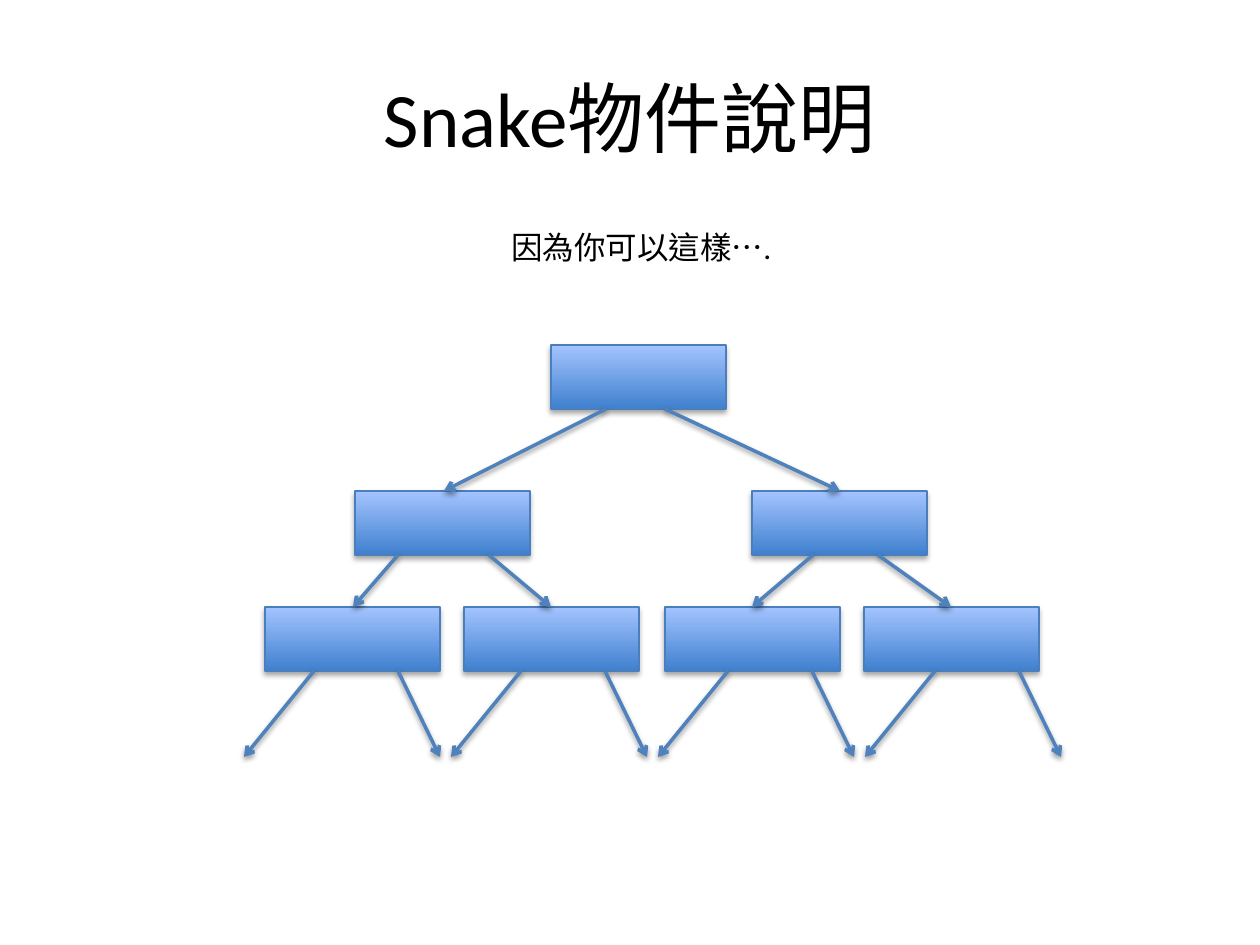
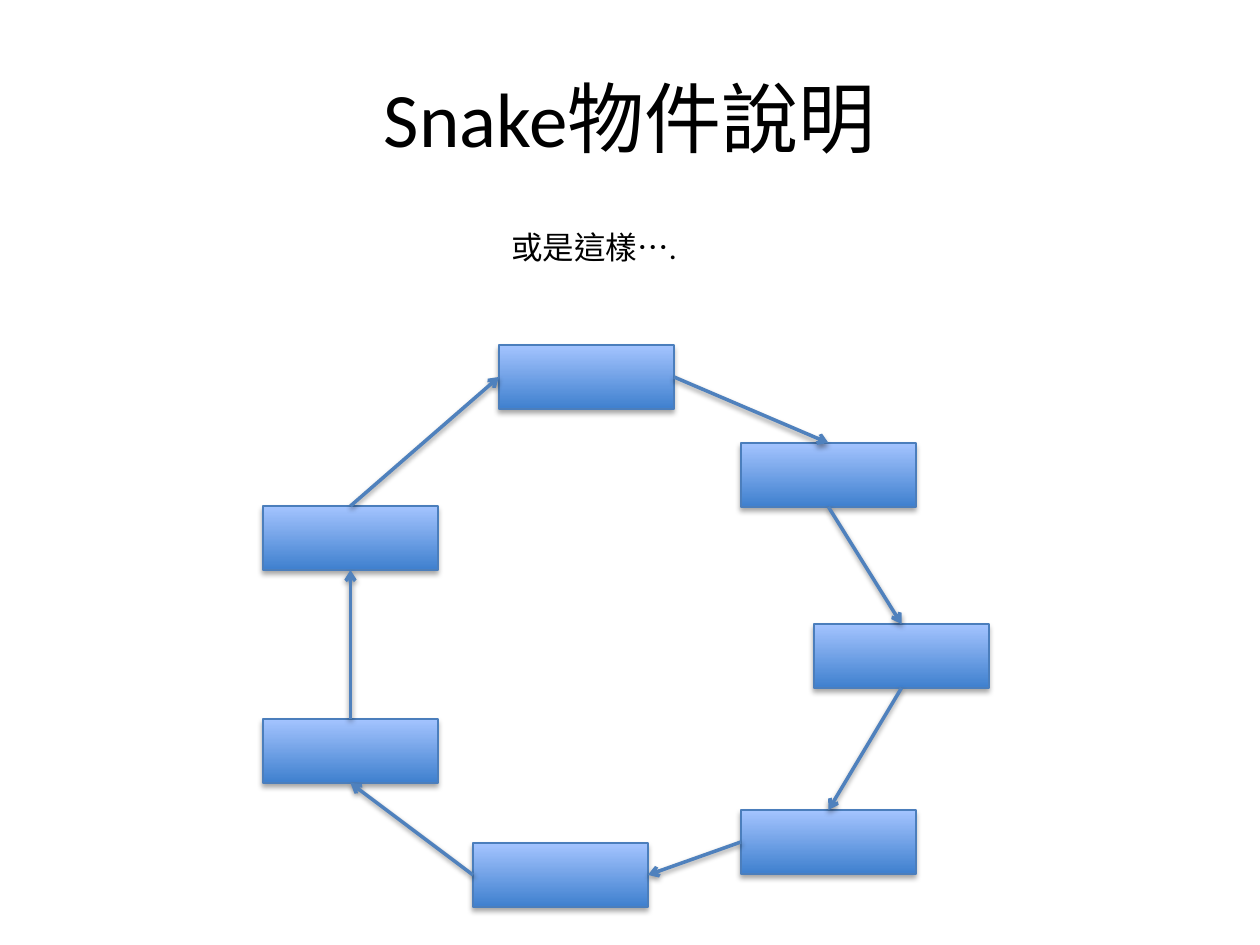
from lxml.etree import SubElement
from pptx import Presentation
from pptx.dml.color import RGBColor
from pptx.enum.lang import MSO_LANGUAGE_ID
from pptx.enum.shapes import MSO_CONNECTOR, MSO_SHAPE
from pptx.enum.text import MSO_ANCHOR, PP_ALIGN
from pptx.oxml.ns import qn
from pptx.util import Emu, Pt

# Shared look
FONT = "Calibri"
BLACK = RGBColor(0x00, 0x00, 0x00)
NODE_DARK = RGBColor(0x3F, 0x80, 0xCE)
NODE_LIGHT = RGBColor(0xA4, 0xC4, 0xFF)
NODE_EDGE = RGBColor(0x4B, 0x7E, 0xBC)
ARROW = RGBColor(0x4F, 0x81, 0xBD)

# Lengths in pixels, 126 to the inch
EMU_PER_PX = 914400 / 126
SLIDE_W, SLIDE_H = 1260, 945
TITLE_BOX = (63, 38, 1134, 157)
CAPTION_BOX = (499, 222, 278, 50)
TREE_BOX = (244, 345, 816, 412)
RING_BOX = (263, 345, 726, 562)
NODE_W, NODE_H = 175, 64

# Connection sites of a rectangle
TOP, LEFT, BOTTOM, RIGHT = range(4)


def px(*values):
    return [Emu(round(v * EMU_PER_PX)) for v in values]


def add_shadow(sp, distance, opacity):
    """Soft black shadow straight below the object."""
    effects = SubElement(sp._element.spPr, qn("a:effectLst"))
    shadow = SubElement(effects, qn("a:outerShdw"), blurRad=str(Pt(3.1)),
                        dist=str(Pt(distance)), dir="5400000", rotWithShape="0")
    color = SubElement(shadow, qn("a:srgbClr"), val=str(BLACK))
    SubElement(color, qn("a:alpha"), val=str(opacity * 1000))


def write(tf, text, size, align):
    tf.text = text
    tf.word_wrap = True
    p = tf.paragraphs[0]
    p.alignment = align
    font = p.runs[0].font
    font.name, font.size = FONT, Pt(size)
    font.color.rgb = BLACK
    font.language_id = MSO_LANGUAGE_ID.TRADITIONAL_CHINESE


def add_node(s, x, y):
    sp = s.shapes.add_shape(MSO_SHAPE.RECTANGLE, *px(x, y, NODE_W, NODE_H))
    sp.fill.gradient()
    sp.fill.gradient_angle = 90
    for stop, position, color in zip(sp.fill.gradient_stops, (0, 1),
                                     (NODE_DARK, NODE_LIGHT)):
        stop.position = position
        stop.color.rgb = color
    sp.line.color.rgb = NODE_EDGE
    sp.line.width = Pt(0.75)
    add_shadow(sp, 1.8, 35)
    return sp


def add_arrow(s, x1=0, y1=0, x2=0, y2=0):
    line = s.shapes.add_connector(MSO_CONNECTOR.STRAIGHT, *px(x1, y1, x2, y2))
    line.line.color.rgb = ARROW
    line.line.width = Pt(2)
    SubElement(line.line._get_or_add_ln(), qn("a:tailEnd"), type="arrow")
    add_shadow(line, 1.6, 38)
    return line


def add_slide(prs, caption):
    """Slide with the shared title and a caption below it."""
    s = prs.slides.add_slide(prs.slide_layouts[5])
    title = s.shapes.title
    title.left, title.top, title.width, title.height = px(*TITLE_BOX)
    write(title.text_frame, "Snake物件說明", 44, PP_ALIGN.CENTER)
    title.text_frame.vertical_anchor = MSO_ANCHOR.MIDDLE
    box = s.shapes.add_textbox(*px(*CAPTION_BOX))
    write(box.text_frame, caption, 18, PP_ALIGN.LEFT)
    return s


def draw_tree(s, box):
    left, top, _, height = box
    # Each level: its top, the lefts of its nodes, its arrows from x to x
    leaf_arrows = []
    for i in range(4):
        x = 207 * i
        leaf_arrows += [(x + 70, x), (x + 154, x + 196)]
    levels = [
        (0, (307,), [(362, 200), (421, 596)]),
        (146, (111, 508), [(154, 109), (245, 307), (569, 508), (634, 707)]),
        (262, (21, 220, 421, 620), leaf_arrows),
    ]
    ends = [level[0] for level in levels[1:]] + [height]
    for (y, lefts, _), _ in zip(levels, ends):
        for x in lefts:
            add_node(s, left + x, top + y)
    for (y, _, arrows), end in zip(levels, ends):
        for x1, x2 in arrows:
            add_arrow(s, left + x1, top + y + NODE_H, left + x2, top + end)


def draw_ring(s, box):
    left, top, width, height = box
    # Clockwise from the top: x, y, entry site, exit site
    steps = [
        (236, 0, LEFT, RIGHT),
        (478, 98, TOP, BOTTOM),
        (width - NODE_W, 279, TOP, BOTTOM),
        (478, 465, TOP, LEFT),
        (210, height - NODE_H, RIGHT, LEFT),
        (0, 374, BOTTOM, TOP),
        (0, 161, BOTTOM, TOP),
    ]
    nodes = [add_node(s, left + x, top + y) for x, y, _, _ in steps]
    for i, (_, _, _, exit_site) in enumerate(steps):
        following = (i + 1) % len(steps)
        arrow = add_arrow(s)
        arrow.begin_connect(nodes[i], exit_site)
        arrow.end_connect(nodes[following], steps[following][2])


prs = Presentation()
prs.slide_width, prs.slide_height = px(SLIDE_W, SLIDE_H)
draw_tree(add_slide(prs, "因為你可以這樣…."), TREE_BOX)
draw_ring(add_slide(prs, "或是這樣…."), RING_BOX)
prs.save("out.pptx")
